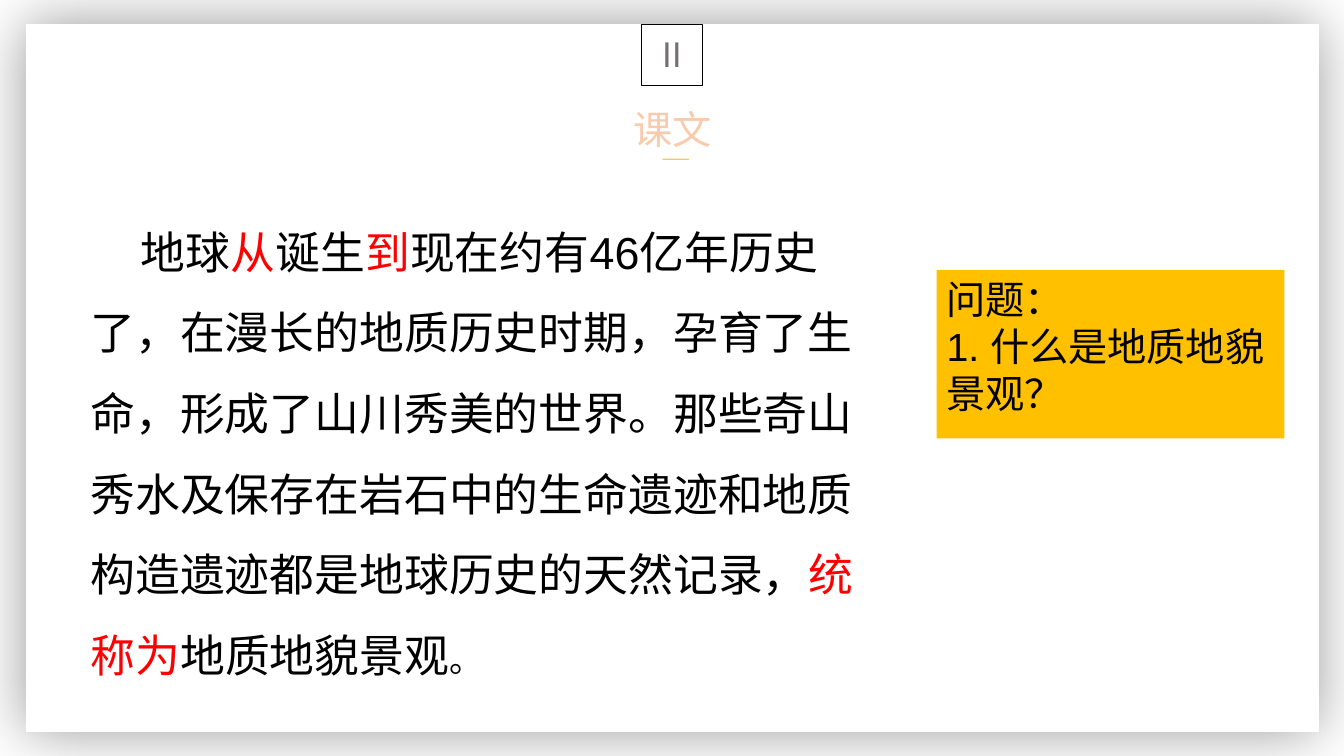
"""Build the lesson text slide with its question box."""
from lxml.etree import SubElement
from pptx import Presentation
from pptx.dml.color import RGBColor
from pptx.enum.shapes import MSO_SHAPE as Shape
from pptx.enum.text import MSO_ANCHOR as Anchor, PP_ALIGN as Align
from pptx.oxml import parse_xml
from pptx.oxml.ns import nsdecls, qn
from pptx.util import Inches, Pt

COLORS = {"white": "FFFFFF", "black": "000000", "grey": "767171", "red": "FF0000",
          "gold": "FFC000", "peach": "F8CBAD", "orange": "ED7D31"}
CJK, LATIN = "Noto Sans CJK SC", "Arial"

TITLE = [[("课文", 28, "peach")]]
DASH = [[("——", 12, "gold")]]
NUMBER = [[("Ⅱ", 24, "grey")]]
LESSON = [[
    ("地球", 32, "black"),
    ("从", 32, "red"),
    ("诞生", 32, "black"),
    ("到", 32, "red"),
    ("现在约有46亿年历史了，在漫长的地质历史时期，孕育了生命，形成了山川秀美的世界。"
     "那些奇山秀水及保存在岩石中的生命遗迹和地质构造遗迹都是地球历史的天然记录，", 32, "black"),
    ("统称为", 32, "red"),
    ("地质地貌景观", 32, "black"),
    ("。", 24, "black"),
]]
QUESTION = [[("问题：", 28, "black")], [("1. 什么是地质地貌景观？", 28, "black")]]


def color(name):
    return RGBColor.from_string(COLORS[name])


def write(shape, paragraphs, font, align):
    frame = shape.text_frame
    frame.word_wrap = True
    frame.vertical_anchor = Anchor.TOP
    for index, pieces in enumerate(paragraphs):
        para = frame.add_paragraph() if index else frame.paragraphs[0]
        para.alignment = align
        for text, size, tint in pieces:
            span = para.add_run()
            span.text = text
            span.font.size = Pt(size)
            span.font.name = font
            span.font.color.rgb = color(tint)
            SubElement(span.font._element, qn("a:ea"), typeface=CJK)


def add_text(page, place, paragraphs, font=CJK, align=Align.CENTER):
    box = page.shapes.add_textbox(*map(Inches, place))
    write(box, paragraphs, font, align)
    return box


def add_box(page, place, fill=None, line=None):
    box = page.shapes.add_shape(Shape.RECTANGLE, *map(Inches, place))
    box.shadow.inherit = False
    if fill:
        box.fill.solid()
        box.fill.fore_color.rgb = color(fill)
    else:
        box.fill.background()
    if line:
        box.line.color.rgb = color(line)
        box.line.width = Pt(1)
    else:
        box.line.fill.background()
    return box


def add_glow(box, blur, opacity):
    effects = box._element.spPr.find(qn("a:effectLst"))
    effects.append(parse_xml(
        f'<a:outerShdw {nsdecls("a")} blurRad="{Pt(blur)}" dist="0" dir="0" algn="ctr" '
        f'rotWithShape="0"><a:srgbClr val="{COLORS["black"]}">'
        f'<a:alpha val="{opacity * 1000}"/></a:srgbClr></a:outerShdw>'))


def outline_text(span, tint, width):
    span.font._element.insert(0, parse_xml(
        f'<a:ln {nsdecls("a")} w="{Pt(width)}"><a:solidFill>'
        f'<a:srgbClr val="{COLORS[tint]}"/></a:solidFill></a:ln>'))


def main():
    deck = Presentation()
    deck.slide_width, deck.slide_height = Inches(13.33), Inches(7.5)
    page = deck.slides.add_slide(deck.slide_layouts[5])

    title = page.shapes.title
    title.left, title.top, title.width, title.height = map(Inches, (5.93, 0.99, 1.48, 0.57))
    write(title, TITLE, CJK, Align.CENTER)
    outline_text(title.text_frame.paragraphs[0].runs[0], "orange", 1.75)

    panel = add_box(page, (0.26, 0.24, 12.82, 7.02), fill="white")
    add_glow(panel, blur=44, opacity=40)
    title._element.addprevious(panel._element)

    add_text(page, (4.82, 1.42, 3.77, 0.3), DASH)
    add_text(page, (6.28, 0.29, 0.78, 0.5), NUMBER)
    add_box(page, (6.36, 0.24, 0.61, 0.61), line="black")

    lesson = add_text(page, (0.8, 1.91, 7.83, 4.82), LESSON, LATIN, Align.LEFT)
    para = lesson.text_frame.paragraphs[0]
    para.line_spacing = 1.5
    para._p.get_or_add_pPr().set("indent", str(Inches(0.5)))

    question = add_box(page, (9.29, 2.68, 3.45, 1.67), fill="gold")
    write(question, QUESTION, LATIN, Align.LEFT)

    deck.save("out.pptx")


if __name__ == "__main__":
    main()
